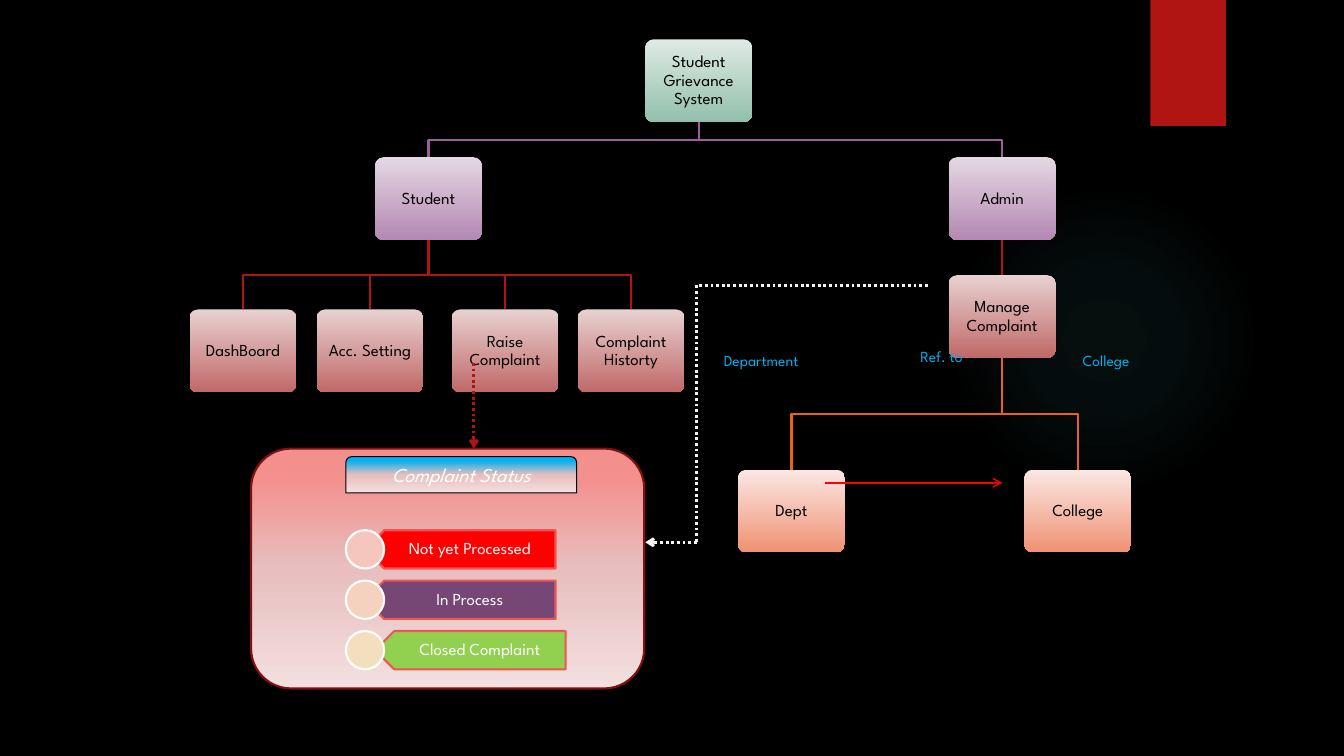
import pptx
import pptx.util
import pptx.dml.color
import pptx.enum.dml
import pptx.enum.shapes
import pptx.enum.text
import pptx.oxml
import pptx.oxml.ns
import pptx.oxml.xmlchemy

Inches = pptx.util.Inches
Pt = pptx.util.Pt
qn = pptx.oxml.ns.qn
make = pptx.oxml.xmlchemy.OxmlElement
KIND = pptx.enum.shapes.MSO_SHAPE
ALIGN = pptx.enum.text.PP_ALIGN
ANCHOR = pptx.enum.text.MSO_ANCHOR

FONT = "League Spartan"
COLORS = {
    "black": "000000", "white": "FFFFFF", "red": "FF0000", "brick": "B01513",
    "plum": "9E5E9B", "orange": "EA6312", "sky": "00B0F0", "dots": "F3F3F3",
    "teal": "50B9C1", "rim": "82100E", "edge": "ED5654",
    "violet": "764674", "lime": "92D050",
    "pink": "F5C6BD", "peach": "F4D2BD", "cream": "F3DFBE",
    "mint1": "DEEAE4", "mint2": "93C0AC", "lilac1": "E4D8E3", "lilac2": "B488B2",
    "rose1": "E8D1D0", "rose2": "C06969", "coral1": "FBE8E4", "coral2": "EF9173",
    "flush": "F38F8D", "blush": "E8BEBE", "pale": "F3DFDF",
}
BOX_W, BOX_H = 1.06, 0.82

# key: text, offset in tree (x, y), fill tone, parent, line colour
NODES = {
    "root": ("Student Grievance System", 4.52, 0, "mint", None, None),
    "student": ("Student", 1.84, 1.17, "lilac", "root", "plum"),
    "admin": ("Admin", 7.53, 1.17, "lilac", "root", "plum"),
    "board": ("DashBoard", 0, 2.68, "rose", "student", "brick"),
    "account": ("Acc. Setting", 1.26, 2.68, "rose", "student", "brick"),
    "raise": ("Raise Complaint", 2.6, 2.68, "rose", "student", "brick"),
    "past": ("Complaint Historty", 3.85, 2.68, "rose", "student", "brick"),
    "manage": ("Manage Complaint", 7.53, 2.34, "rose", "admin", "brick"),
    "dept": ("Dept", 5.44, 4.27, "coral", "manage", "orange"),
    "college": ("College", 8.28, 4.27, "coral", "manage", "orange"),
}
# text, tag shift, tag fill, dot fill
STATES = [
    ("Not yet Processed", 0, "red", "pink"),
    ("In Process", 0, "violet", "peach"),
    ("Closed Complaint", 0.1, "lime", "cream"),
]


def rgb(name):
    return pptx.dml.color.RGBColor.from_string(COLORS[name])


def blend(shape, stops, round_=False):
    """Gradient from (position, colour, opacity) stops."""
    shape.fill.gradient()
    grad = shape._element.spPr.find(qn("a:gradFill"))
    for part in list(grad):
        grad.remove(part)
    rows = "".join(
        f'<a:gs pos="{pos * 1000}"><a:srgbClr val="{COLORS[name]}">'
        f'<a:alpha val="{seen * 1000}"/></a:srgbClr></a:gs>'
        for pos, name, seen in stops)
    way = '<a:lin ang="5400000" scaled="0"/>'
    if round_:
        way = ('<a:path path="circle"><a:fillToRect l="50000" t="50000" '
               'r="50000" b="50000"/></a:path>')
    space = pptx.oxml.ns.nsdecls("a")
    tree = pptx.oxml.parse_xml(
        f"<a:gradFill {space}><a:gsLst>{rows}</a:gsLst>{way}</a:gradFill>")
    for part in list(tree):
        grad.append(part)


def add_shape(slide, kind, box, fill=None, line=None, width=1.5):
    shape = slide.shapes.add_shape(kind, *map(Inches, box))
    shape.shadow.inherit = False
    if isinstance(fill, list):
        blend(shape, fill)
    elif fill:
        shape.fill.solid()
        shape.fill.fore_color.rgb = rgb(fill)
    if line:
        shape.line.color.rgb = rgb(line)
        shape.line.width = Pt(width)
    else:
        shape.line.fill.background()
    return shape


def write(shape, text, size=12, color="black", align=ALIGN.CENTER, space=0.9,
          anchor=ANCHOR.MIDDLE, italic=False, pad=(0.05, 0.05, 0.05, 0.05)):
    frame = shape.text_frame
    frame.word_wrap = True
    frame.vertical_anchor = anchor
    (frame.margin_left, frame.margin_top,
     frame.margin_right, frame.margin_bottom) = map(Inches, pad)
    para = frame.paragraphs[0]
    para.alignment = align
    para.line_spacing = space
    run = para.add_run()
    run.text = text
    run.font.name = FONT
    run.font.size = Pt(size)
    run.font.italic = italic
    run.font.color.rgb = rgb(color)


def add_text(slide, box, text, **style):
    write(slide.shapes.add_textbox(*map(Inches, box)), text, **style)


def add_line(slide, start, end, color, width, dots=False, arrow=False):
    line = slide.shapes.add_connector(
        pptx.enum.shapes.MSO_CONNECTOR.STRAIGHT, *map(Inches, start + end))
    line.line.color.rgb = rgb(color)
    line.line.width = Pt(width)
    if dots:
        line.line.dash_style = pptx.enum.dml.MSO_LINE.ROUND_DOT
    props = line._element.spPr
    if arrow:
        tail = make("a:tailEnd")
        tail.set("type", "arrow")
        props.find(qn("a:ln")).append(tail)
    props.append(make("a:effectLst"))
    return line


def add_branch(slide, start, end, color):
    mid = (start[1] + end[1]) / 2
    points = [(start[0], mid), (end[0], mid), end]
    maker = slide.shapes.build_freeform(*map(Inches, start), scale=1.0)
    maker.add_line_segments([tuple(map(Inches, p)) for p in points], close=False)
    branch = maker.convert_to_shape()
    branch.shadow.inherit = False
    branch.fill.background()
    branch.line.color.rgb = rgb(color)
    branch.line.width = Pt(1.5)


def add_decor(slide, left, top):
    # Soft glow and corner tab
    glow = add_shape(slide, KIND.OVAL, (left, top + 1.83, 3.08, 3.08))
    blend(glow, [(0, "teal", 7), (36, "teal", 6), (69, "teal", 0)], True)
    add_shape(slide, KIND.RECTANGLE, (left + 2, top, 0.75, 1.25), "brick")


def add_tree(slide, left, top):
    made = {}
    for key, (text, x, y, tone, boss, color) in NODES.items():
        x, y = left + x, top + y
        node = add_shape(slide, KIND.ROUNDED_RECTANGLE, (x, y, BOX_W, BOX_H),
                         [(0, tone + "1", 100), (100, tone + "2", 100)])
        node.adjustments[0] = 0.1
        write(node, text)
        made[key] = node
        if not boss:
            continue
        start = (left + NODES[boss][1] + BOX_W / 2, top + NODES[boss][2] + BOX_H)
        end = (x + BOX_W / 2, y)
        if start[0] == end[0]:
            link = add_line(slide, start, end, color, 1.5)
            link.begin_connect(made[boss], 2)
            link.end_connect(node, 0)
        else:
            add_branch(slide, start, end, color)

    # Referral labels and arrow
    for text, x, y, width in (("Ref. to", 7.15, 3, 1.02),
                              ("Department", 5.2, 3.04, 1.19),
                              ("College", 8.76, 3.04, 0.85)):
        add_text(slide, (left + x, top + y, width, 0.29), text, size=11,
                 color="sky", align=ALIGN.LEFT, space=1, anchor=ANCHOR.TOP,
                 pad=(0.1, 0.05, 0.1, 0.05))
    add_line(slide, (left + 6.3, top + 4.4), (left + 8.06, top + 4.4),
             "red", 1, arrow=True)


def add_panel(slide, left, top):
    add_shape(slide, KIND.FLOWCHART_ALTERNATE_PROCESS, (left, top, 3.9, 2.38),
              [(11, "flush", 100), (50, "blush", 100), (100, "pale", 100)], "rim")
    title = add_shape(slide, KIND.ROUND_2_SAME_RECTANGLE,
                      (left + 0.94, top + 0.08, 2.29, 0.36),
                      [(11, "sky", 100), (50, "blush", 100), (100, "pale", 100)],
                      "black", 0.75)
    write(title, "Complaint Status", size=14, color="white", italic=True,
          space=1, anchor=ANCHOR.TOP, pad=(0.1, 0.05, 0.1, 0.05))

    # Status tags
    for row, (text, shift, fill, dot) in enumerate(STATES):
        x, y = left + 1.13 + shift, top + 0.81 + row * 0.5
        tag = add_shape(slide, KIND.PENTAGON, (x, y, 1.89, 0.38), fill, "edge")
        tag.rotation = 180
        add_text(slide, (x + 0.1, y, 1.8, 0.38), text, color="white",
                 pad=(0.17, 0.05, 0.09, 0.05))
        add_shape(slide, KIND.OVAL, (left + 0.94, y, 0.38, 0.38), dot, "white")


def add_flow(slide, left, top):
    # Dotted arrows into the status panel
    add_line(slide, (left, top + 0.77), (left, top + 1.62), "brick", 2, True, True)
    bends = [(left + x, top + y)
             for x, y in ((4.5, 0), (2.21, 0), (2.21, 2.55), (1.7, 2.55))]
    for start, end in zip(bends, bends[1:]):
        add_line(slide, start, end, "dots", 2, True, end == bends[-1])


def main():
    deck = pptx.Presentation()
    deck.slide_width, deck.slide_height = Inches(13.33), Inches(7.5)
    slide = deck.slides.add_slide(deck.slide_layouts[6])
    slide.background.fill.solid()
    slide.background.fill.fore_color.rgb = rgb("black")
    add_decor(slide, 9.41, 0)
    add_tree(slide, 1.88, 0.39)
    add_panel(slide, 2.49, 4.45)
    add_flow(slide, 4.7, 2.83)
    deck.save("out.pptx")


if __name__ == "__main__":
    main()
